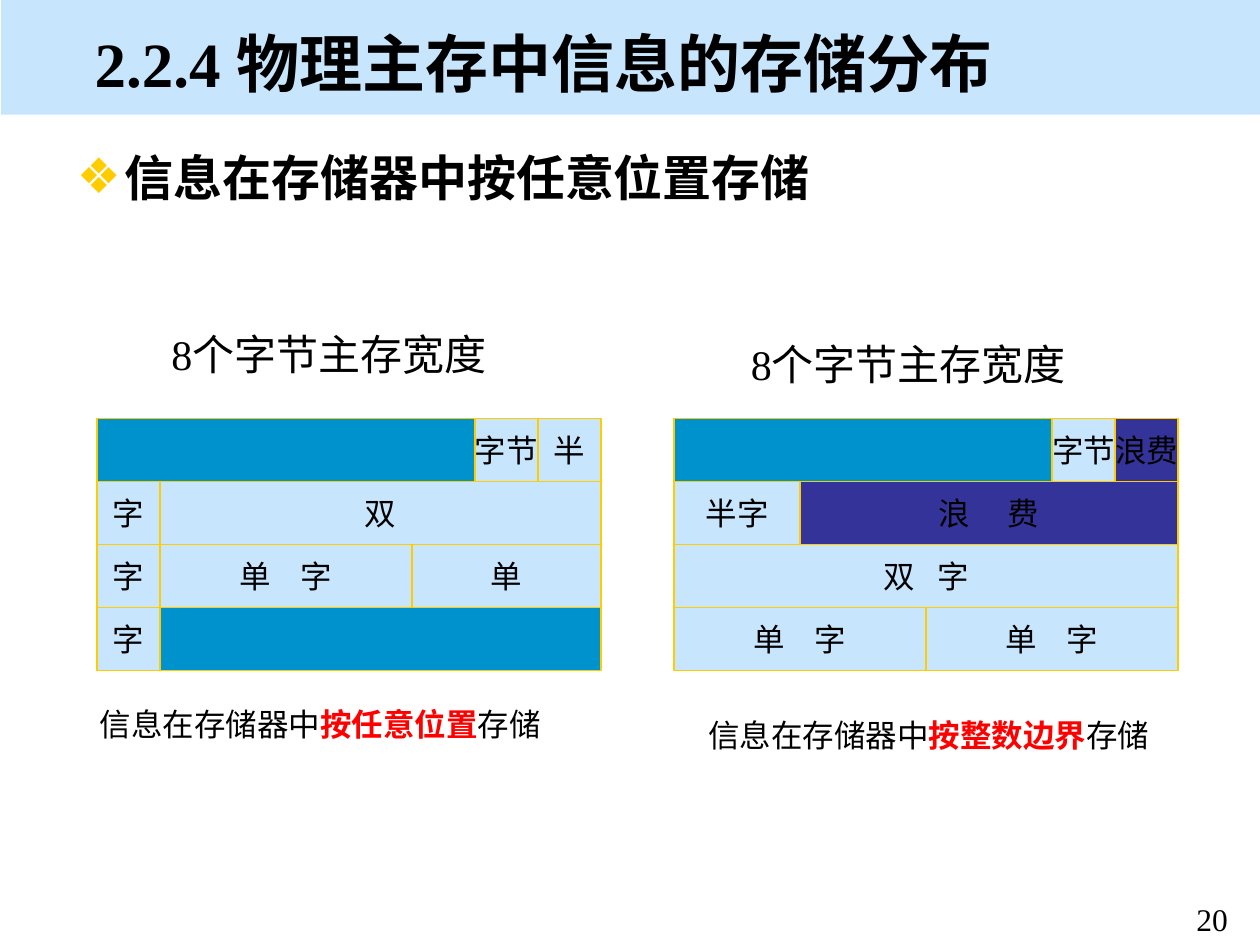
import pptx
import pptx.util
import pptx.dml.color
import pptx.enum.shapes
import pptx.enum.text
import lxml.etree
from pptx.util import Inches

SERIF, SANS = "Times New Roman", "Lato"
BLACK, RED, GOLD = "000000", "FF0000", "FFCC00"
DATA, FREE, WASTE = "C7E6FD", "0092CC", "333399"
BYTE = 0.5  # side of a one-byte cell, in inches
SPACE = 4.3  # width of one space at 18 points

# Each row lists cells as (bytes, text, fill, spaces between the characters).
LOOSE = [
    [(6, "", FREE, 1), (1, "字节", DATA, 1), (1, "半", DATA, 1)],
    [(1, "字", DATA, 1), (7, "双", DATA, 1)],
    [(1, "字", DATA, 1), (4, "单 字", DATA, 4), (3, "单", DATA, 1)],
    [(1, "字", DATA, 1), (7, "", FREE, 1)],
]
BOUND = [
    [(6, "", FREE, 1), (1, "字节", DATA, 1), (1, "浪费", WASTE, 1)],
    [(2, "半字", DATA, 1), (6, "浪 费", WASTE, 5)],
    [(8, "双 字", DATA, 3)],
    [(4, "单 字", DATA, 4), (4, "单 字", DATA, 4)],
]


def color(code):
    return pptx.dml.color.RGBColor.from_string(code)


def style(font, size, name, code=BLACK, bold=False):
    font.size = pptx.util.Pt(size)
    font.name = name
    font.bold = bold
    font.color.rgb = color(code)


def place(shape, left, top, width, height):
    shape.left, shape.top = Inches(left), Inches(top)
    shape.width, shape.height = Inches(width), Inches(height)


def add_rect(slide, left, top, width, height, fill):
    kind = pptx.enum.shapes.MSO_SHAPE.RECTANGLE
    rect = slide.shapes.add_shape(
        kind, Inches(left), Inches(top), Inches(width), Inches(height))
    rect.shadow.inherit = False
    rect.fill.solid()
    rect.fill.fore_color.rgb = color(fill)
    rect.line.fill.background()
    return rect


def add_cell(slide, left, top, width, text, fill, gap):
    """Draw one memory cell; its space is widened to gap spaces."""
    cell = add_rect(slide, left, top, width, BYTE, fill)
    cell.line.color.rgb = color(GOLD)
    cell.line.width = pptx.util.Pt(0.75)
    if not text:
        return
    frame = cell.text_frame
    frame.word_wrap = False
    frame.vertical_anchor = pptx.enum.text.MSO_ANCHOR.MIDDLE
    para = frame.paragraphs[0]
    para.alignment = pptx.enum.text.PP_ALIGN.CENTER
    for part in filter(None, text.partition(" ")):
        run = para.add_run()
        run.text = part
        style(run.font, 18, SANS)
        if part == " ":
            extra = round((gap - 1) * SPACE * 100)
            run.font._element.set("spc", str(extra))


def add_grid(slide, left, top, rows):
    for line, row in enumerate(rows):
        start = left
        for count, text, fill, gap in row:
            add_cell(slide, start, top + line * BYTE, count * BYTE,
                     text, fill, gap)
            start += count * BYTE


def add_label(slide, left, top, width, height, parts, size, name):
    """Add one centred line whose parts are (text, colour, bold)."""
    box = slide.shapes.add_textbox(
        Inches(left), Inches(top), Inches(width), Inches(height))
    box.text_frame.word_wrap = False
    para = box.text_frame.paragraphs[0]
    para.alignment = pptx.enum.text.PP_ALIGN.CENTER
    for text, code, bold in parts:
        run = para.add_run()
        run.text = text
        style(run.font, size, name, code, bold)


def add_note(slide, left, top, stress, name):
    parts = [("信息在存储器中", BLACK, False), (stress, RED, True),
             ("存储", BLACK, False)]
    add_label(slide, left, top, 3.7, 0.4, parts, 18, name)


def add_width(slide, left, top):
    parts = [("8个字节主存宽度", BLACK, False)]
    add_label(slide, left, top, 2.78, 0.5, parts, 24, SERIF)


def set_title(slide, text):
    title = slide.shapes.title
    place(title, 0.65, 0.16, 9.16, 0.67)
    frame = title.text_frame
    frame.text = text
    frame.vertical_anchor = pptx.enum.text.MSO_ANCHOR.MIDDLE
    frame.auto_size = pptx.enum.text.MSO_AUTO_SIZE.NONE
    para = frame.paragraphs[0]
    para.alignment = pptx.enum.text.PP_ALIGN.LEFT
    style(para.runs[0].font, 36, SERIF, bold=True)
    band = add_rect(slide, 0.01, 0, 9.99, 0.91, DATA)
    title.element.addprevious(band.element)


def add_bullet(para, mark, code):
    props = para._p.get_or_add_pPr()
    props.set("marL", str(Inches(0.38)))
    props.set("indent", str(-Inches(0.38)))
    space = pptx.oxml.ns.qn
    tint = lxml.etree.SubElement(props, space("a:buClr"))
    lxml.etree.SubElement(tint, space("a:srgbClr"), val=code)
    lxml.etree.SubElement(props, space("a:buChar"), char=mark)


def set_body(slide, text):
    body = slide.placeholders[1]
    place(body, 0.51, 1.12, 9, 5.42)
    body.text_frame.text = text
    body.text_frame.auto_size = pptx.enum.text.MSO_AUTO_SIZE.NONE
    para = body.text_frame.paragraphs[0]
    add_bullet(para, "❖", GOLD)
    para.space_before = pptx.util.Pt(0)
    style(para.runs[0].font, 28, SERIF, bold=True)


def main():
    deck = pptx.Presentation()
    deck.slide_width, deck.slide_height = Inches(10), Inches(7.5)
    slide = deck.slides.add_slide(deck.slide_layouts[1])
    set_title(slide, "2.2.4 物理主存中信息的存储分布")
    set_body(slide, "信息在存储器中按任意位置存储")

    add_width(slide, 1.22, 2.56)
    add_grid(slide, 0.77, 3.32, LOOSE)
    add_note(slide, 0.69, 5.55, "按任意位置", SANS)

    add_width(slide, 5.82, 2.64)
    add_grid(slide, 5.35, 3.32, BOUND)
    add_note(slide, 5.52, 5.63, "按整数边界", SERIF)

    add_label(slide, 9.27, 7.09, 0.7, 0.33, [("20", BLACK, False)], 18, SERIF)
    deck.save("out.pptx")


if __name__ == "__main__":
    main()
